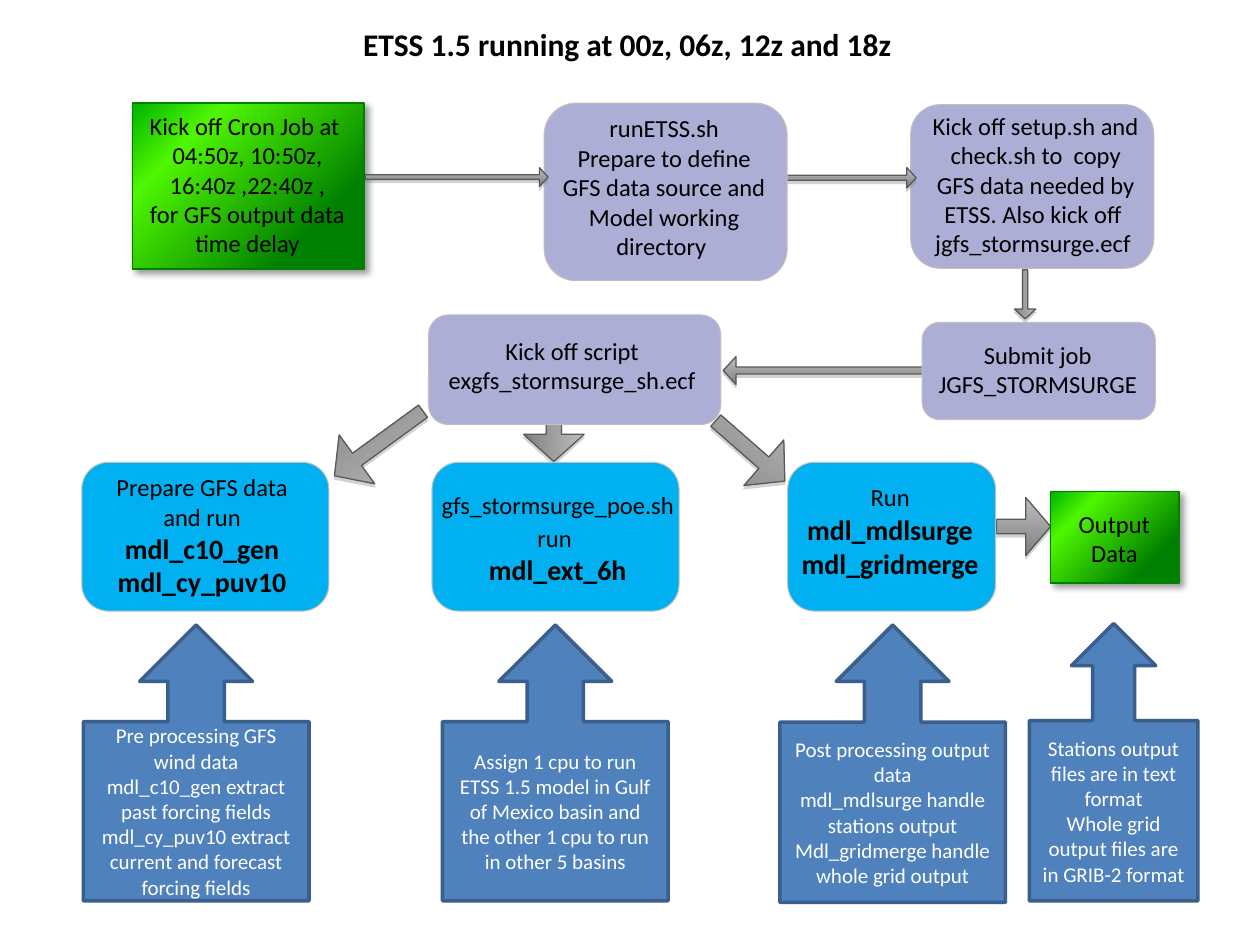
import pptx
import pptx.util
import pptx.dml.color
import pptx.enum.shapes
import pptx.enum.text
import pptx.oxml.ns
import lxml.etree

Cm, Pt = pptx.util.Cm, pptx.util.Pt
RGB = pptx.dml.color.RGBColor
Kind = pptx.enum.shapes.MSO_SHAPE
Align = pptx.enum.text.PP_ALIGN
Anchor = pptx.enum.text.MSO_ANCHOR
qn = pptx.oxml.ns.qn

BLACK, WHITE = RGB(0, 0, 0), RGB(255, 255, 255)
LILAC, CYAN = RGB(0xAD, 0xAE, 0xD6), RGB(0x00, 0xB0, 0xF0)
SILVER, SLATE = RGB(0xC0, 0xC0, 0xC0), RGB(0x59, 0x59, 0x59)
BLUE, NAVY = RGB(0x4F, 0x81, 0xBD), RGB(0x3A, 0x5F, 0x8C)
GREEN, LIME, LEAF = RGB(0, 0x80, 0), RGB(0x4F, 0xF6, 0), RGB(0, 0xB3, 0)
PALE, GREY = RGB(0xBF, 0xBF, 0xBF), RGB(0x7F, 0x7F, 0x7F)
GLOW = [(22, GREEN), (77, LIME), (100, LEAF)]
STEEL = [(0, PALE), (100, GREY)]


def shade(shape, stops, angle, color, alpha, blur, dist, turn):
    """Give a shape a gradient fill and an outer shadow."""
    shape.fill.gradient()
    shape.fill.gradient_angle = angle
    ramp = shape.element.spPr.find(".//" + qn("a:gsLst"))
    for old in list(ramp):
        ramp.remove(old)
    for place, tone in stops:
        stop = lxml.etree.SubElement(ramp, qn("a:gs"), pos=str(place * 1000))
        lxml.etree.SubElement(stop, qn("a:srgbClr"), val=str(tone))
    effect = shape.element.spPr.find(qn("a:effectLst"))
    cast = lxml.etree.SubElement(
        effect, qn("a:outerShdw"), blurRad=str(Pt(blur)), dist=str(Pt(dist)),
        dir=str(turn * 60000), rotWithShape="0")
    tint = lxml.etree.SubElement(cast, qn("a:srgbClr"), val=color)
    lxml.etree.SubElement(tint, qn("a:alpha"), val=str(alpha * 1000))


def write(frame, lines, size, color):
    """Fill a frame with centred lines, each a (plain, strong) pair."""
    frame.word_wrap = True
    for i, (plain, strong) in enumerate(lines):
        para = frame.paragraphs[0] if i == 0 else frame.add_paragraph()
        para.alignment = Align.CENTER
        para.font.name = "Calibri"
        para.font.size = Pt(size)
        para.font.color.rgb = color
        if plain:
            para.add_run().text = plain
        if strong:
            run = para.add_run()
            run.text = strong
            run.font.size = Pt(16)
            run.font.bold = True


deck = pptx.Presentation()
deck.slide_width, deck.slide_height = Cm(25.4), Cm(19.05)
slide = deck.slides.add_slide(deck.slide_layouts[5])
shapes = slide.shapes

# Title
title = shapes.title
title.left, title.top, title.width, title.height = map(Cm, (6.3, 0.38, 12.7, 1.02))
title.text_frame.vertical_anchor = Anchor.MIDDLE
write(title.text_frame, [("ETSS 1.5 running at 00z, 06z, 12z and 18z", "")], 18, BLACK)
title.text_frame.paragraphs[0].font.bold = True

# Steps: fill, box, text area, lines
steps = [
    (LILAC, (18.36, 2.11, 4.9, 3.3), (18.49, 2.11, 4.78, 3.25),
     [("Kick off setup.sh and check.sh to  copy GFS data needed by ETSS. "
       "Also kick off  jgfs_stormsurge.ecf ", "")]),
    (LILAC, (8.64, 6.35, 5.89, 2.21), (8.59, 6.65, 5.89, 1.45),
     [("Kick off script exgfs_stormsurge_sh.ecf", "")]),
    (LILAC, (10.97, 2.08, 4.9, 3.58), (11, 2.16, 4.78, 3.33),
     [("runETSS.sh", ""),
      ("Prepare to define GFS data source and Model working directory ", "")]),
    (LILAC, (18.59, 6.5, 4.7, 1.96), (18.57, 6.73, 4.7, 1.45),
     [("Submit job JGFS_STORMSURGE", "")]),
    (CYAN, (1.65, 9.32, 4.98, 3), (1.7, 9.4, 4.75, 2.82),
     [("Prepare GFS data and run ", "mdl_c10_gen mdl_cy_puv10")]),
    (CYAN, (8.71, 9.32, 4.98, 3), (8.64, 9.75, 5.21, 2.24),
     [("gfs_stormsurge_poe.sh run", " "), ("", "mdl_ext_6h")]),
    (CYAN, (15.88, 9.32, 4.19, 3), (15.75, 9.53, 4.39, 2.31),
     [("Run", " mdl_mdlsurge"), ("", "mdl_gridmerge")]),
    (GREEN, (2.67, 2.08, 4.67, 3.35), (2.69, 2.11, 4.6, 3.25),
     [("Kick off Cron Job at ", ""), ("04:50z, 10:50z, 16:40z ,22:40z ,", ""),
      ("for GFS output data time delay", "")]),
    (GREEN, (21.18, 9.91, 2.59, 1.85), (21.18, 10.13, 2.57, 1.45),
     [("Output Data", "")]),
]
for fill, area, label, lines in steps:
    ends = fill == GREEN
    kind = Kind.RECTANGLE if ends else Kind.ROUNDED_RECTANGLE
    box = shapes.add_shape(kind, *map(Cm, area))
    box.shadow.inherit = False
    if ends:
        shade(box, GLOW, 135, "000000", 40, 4, 3, 45)
    else:
        box.adjustments[0] = 0.18
        box.fill.solid()
        box.fill.fore_color.rgb = fill
    box.line.color.rgb = GREEN if ends else SILVER
    box.line.width = Pt(1 if ends else 0.6)
    text = shapes.add_textbox(*map(Cm, label))
    write(text.text_frame, lines, 14, BLACK)

# Arrows: area, rotation, mirrored, depth in the stack
FRONT, BACK = None, 2
SETUP = BACK + 2  # above the title and the setup box, below the other steps
arrows = [
    ((14.58, 3.38, 3.89, 0.41), 0, False, SETUP),
    ((10.57, 8.1, 1.19, 1.22), 90, False, BACK),
    ((20.09, 10.03, 1.09, 1.17), 0, False, BACK),
    ((14.58, 7.19, 4.06, 0.56), 0, True, BACK),
    ((20.17, 5.72, 0.99, 0.43), 90, False, FRONT),
    ((7.37, 3.38, 3.68, 0.38), 0, False, FRONT),
    ((14.2, 8.48, 1.85, 1.22), 41.2, False, FRONT),
    ((6.53, 8.33, 2.21, 1.22), 143.9, False, FRONT),
]
for area, turn, mirror, depth in arrows:
    arrow = shapes.add_shape(Kind.RIGHT_ARROW, *map(Cm, area))
    arrow.adjustments[0], arrow.adjustments[1] = 0.25, 0.46
    arrow.rotation = turn
    arrow.shadow.inherit = False
    shade(arrow, STEEL, 270, "808080", 35, 0, 1.8, 90)
    arrow.line.color.rgb = SLATE
    arrow.line.width = Pt(0.75)
    if mirror:
        arrow.element.spPr.xfrm.set("flipH", "1")
    if depth is not FRONT:
        arrow.element.getparent().insert(depth, arrow.element)

# Callouts
notes = [
    ((1.68, 12.6, 4.55, 5.56),
     ["Pre processing GFS wind data", "mdl_c10_gen extract past forcing fields",
      "mdl_cy_puv10 extract current and forecast forcing fields"]),
    ((8.92, 12.6, 4.55, 5.56),
     ["Assign 1 cpu to run ETSS 1.5 model in Gulf of Mexico basin "
      "and the other 1 cpu to run in other 5 basins"]),
    ((15.72, 12.6, 4.55, 5.59),
     ["Post processing output data", "mdl_mdlsurge handle stations output",
      "Mdl_gridmerge handle whole grid output"]),
    ((20.75, 12.57, 3.4, 5.59),
     ["Stations output files are in text format",
      "Whole grid output files are in GRIB-2 format"]),
]
for area, lines in notes:
    note = shapes.add_shape(Kind.UP_ARROW_CALLOUT, *map(Cm, area))
    note.shadow.inherit = False
    note.fill.solid()
    note.fill.fore_color.rgb = BLUE
    note.line.color.rgb = NAVY
    note.line.width = Pt(2)
    note.text_frame.vertical_anchor = Anchor.MIDDLE
    write(note.text_frame, [(line, "") for line in lines], 12, WHITE)

deck.save("out.pptx")
